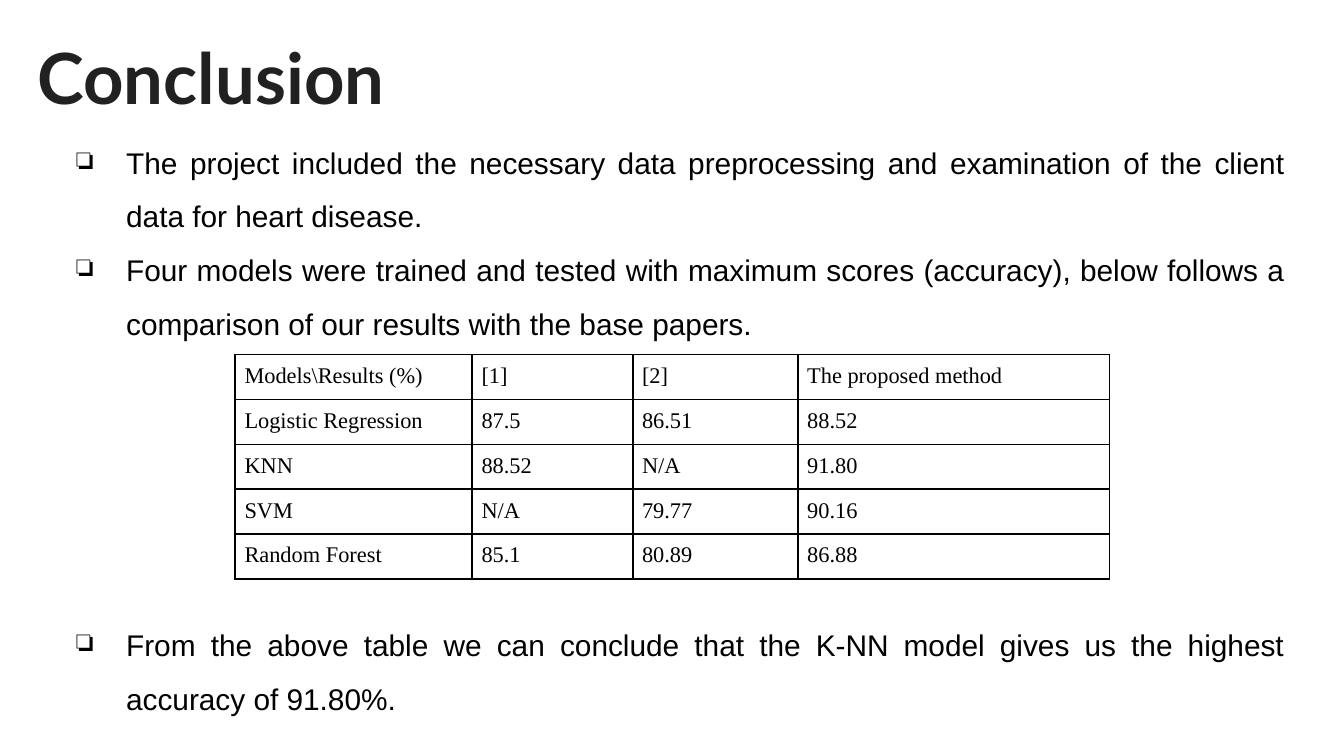
import pptx
import pptx.dml.color
import pptx.enum.text
import pptx.oxml
import pptx.oxml.ns
import pptx.util
import lxml.etree

Pt = pptx.util.Pt
COLORS = {"title": "212121", "text": "000000", "border": "000000"}

presentation = pptx.Presentation()
presentation.slide_width = Pt(720)
presentation.slide_height = Pt(405)
slide = presentation.slides.add_slide(presentation.slide_layouts[6])


def write_text(paragraph, text, size, font, color="text", bold=False):
    run = paragraph.add_run()
    run.text = text
    run.font.size = Pt(size)
    run.font.name = font
    run.font.bold = bold
    run.font.color.rgb = pptx.dml.color.RGBColor.from_string(COLORS[color])


def add_element(parent, tag, **attributes):
    element = lxml.etree.SubElement(parent, pptx.oxml.ns.qn(tag))
    for name, value in attributes.items():
        element.set(name, str(value))
    return element


# Title and body boxes
frames = []
for left, top, width, height in [(13, 10.8, 671, 63.4), (24.5, 60.5, 671, 334)]:
    frame = slide.shapes.add_textbox(Pt(left), Pt(top), Pt(width), Pt(height)).text_frame
    frame.word_wrap = True
    frame.margin_left = frame.margin_right = Pt(7.2)
    frame.margin_top = frame.margin_bottom = Pt(7.2)
    frames.append(frame)
title_frame, body_frame = frames
write_text(title_frame.paragraphs[0], "Conclusion", size=37.8, font="Lato",
           color="title", bold=True)

# Bullets; the space before the last one makes room for the table
bullets = [
    ("The project included the necessary data preprocessing and examination "
     "of the client data for heart disease.", 0),
    ("Four models were trained and tested with maximum scores (accuracy), "
     "below follows a comparison of our results with the base papers.", 0),
    ("From the above table we can conclude that the K-NN model gives us "
     "the highest accuracy of 91.80%.", 143.5),
]
for index, (text, space_before) in enumerate(bullets):
    paragraph = body_frame.add_paragraph() if index else body_frame.paragraphs[0]
    paragraph.alignment = pptx.enum.text.PP_ALIGN.JUSTIFY
    paragraph.line_spacing = 1.5
    paragraph.space_before = Pt(space_before)
    properties = paragraph._p.get_or_add_pPr()
    properties.set("marL", str(Pt(36)))
    properties.set("indent", str(Pt(-26.5)))
    bullet_color = add_element(properties, "a:buClr")
    add_element(bullet_color, "a:srgbClr", val=COLORS["text"])
    add_element(properties, "a:buChar", char="❏")
    write_text(paragraph, text, size=16, font="Arial")

# Results table
results = [
    ["Models\\Results (%)", "[1]", "[2]", "The proposed method"],
    ["Logistic Regression", "87.5", "86.51", "88.52"],
    ["KNN", "88.52", "N/A", "91.80"],
    ["SVM", "N/A", "79.77", "90.16"],
    ["Random Forest", "85.1", "80.89", "86.88"],
]
column_widths = [127, 86, 88.5, 167]
row_height = 23.4
table = slide.shapes.add_table(
    len(results), len(column_widths), Pt(126), Pt(190),
    Pt(sum(column_widths)), Pt(row_height * len(results))).table
table.first_row = False
table.horz_banding = False
for column, width in zip(table.columns, column_widths):
    column.width = Pt(width)
for row, values in zip(table.rows, results):
    row.height = Pt(row_height)
    for cell, value in zip(row.cells, values):
        cell.margin_left = cell.margin_right = Pt(5)
        cell.margin_top = cell.margin_bottom = Pt(4.8)
        write_text(cell.text_frame.paragraphs[0], value, size=12, font="Times New Roman")
        properties = cell._tc.get_or_add_tcPr()
        for side in ("a:lnL", "a:lnR", "a:lnT", "a:lnB"):
            border = add_element(properties, side, w=Pt(1))
            fill = add_element(border, "a:solidFill")
            add_element(fill, "a:srgbClr", val=COLORS["border"])
        cell.fill.background()

presentation.save("out.pptx")
